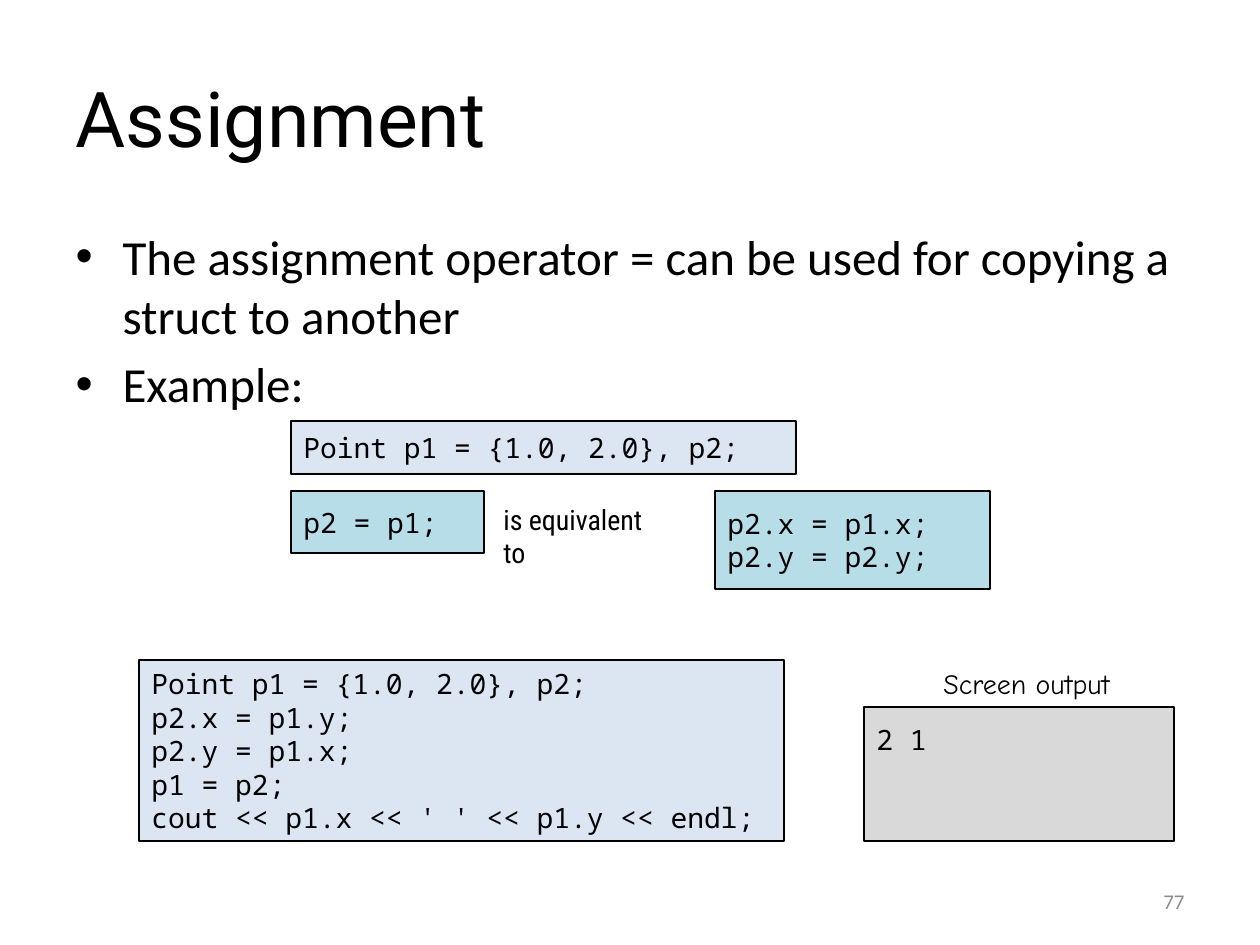
from lxml.etree import SubElement
from pptx import Presentation
from pptx.dml.color import RGBColor
from pptx.enum.shapes import MSO_SHAPE
from pptx.enum.text import MSO_ANCHOR, MSO_AUTO_SIZE, PP_ALIGN
from pptx.oxml.ns import qn
from pptx.util import Inches, Pt

PX_PER_INCH = 126
MONO = "Noto Sans Mono"
PALE_BLUE, AQUA, GRAY = "DCE6F2", "B7DEE8", "D9D9D9"


def px(n):
    return round(n * Inches(1) / PX_PER_INCH)


def rgb(color):
    return RGBColor.from_string(color)


def place(sp, left, top, width, height):
    sp.left, sp.top, sp.width, sp.height = map(px, (left, top, width, height))


def write(tf, text, font, size, color="000000", align=PP_ALIGN.LEFT,
          anchor=MSO_ANCHOR.MIDDLE):
    """Fill a text frame with one paragraph for each line of text."""
    tf.word_wrap = True
    tf.auto_size = MSO_AUTO_SIZE.NONE
    tf.vertical_anchor = anchor
    for i, line in enumerate(text.split("\n")):
        p = tf.paragraphs[0] if i == 0 else tf.add_paragraph()
        p.alignment = align
        r = p.add_run()
        r.text = line
        r.font.name, r.font.size = font, Pt(size)
        r.font.color.rgb = rgb(color)


class SlideBuilder:
    def __init__(self, prs):
        self.slide = prs.slides.add_slide(prs.slide_layouts[1])

    def title(self, text, *box):
        sp = self.slide.shapes.title
        place(sp, *box)
        write(sp.text_frame, text, "Roboto", 44)

    def bullets(self, text, *box, indent=47):
        sp = self.slide.placeholders[1]
        place(sp, *box)
        write(sp.text_frame, text, "Calibri", 28, anchor=MSO_ANCHOR.TOP)
        for p in sp.text_frame.paragraphs:
            p.space_before = Pt(5.6)
            pPr = p._p.get_or_add_pPr()
            pPr.set("marL", str(px(indent)))
            pPr.set("indent", str(-px(indent)))
            SubElement(pPr, qn("a:buFont"), typeface="Arial")
            SubElement(pPr, qn("a:buChar"), char="•")

    def label(self, text, *box, font, size=16, **style):
        sp = self.slide.shapes.add_textbox(*map(px, box))
        write(sp.text_frame, text, font, size, **style)

    def code(self, text, *box, fill, margin_top=6, anchor=MSO_ANCHOR.MIDDLE):
        sp = self.slide.shapes.add_shape(MSO_SHAPE.RECTANGLE, *map(px, box))
        sp.shadow.inherit = False
        sp.fill.solid()
        sp.fill.fore_color.rgb = rgb(fill)
        sp.line.color.rgb = rgb("000000")
        sp.line.width = Pt(0.75)
        sp.text_frame.margin_top = px(margin_top)
        write(sp.text_frame, text, MONO, 16, anchor=anchor)


def main():
    prs = Presentation()
    prs.slide_width, prs.slide_height = Inches(10), Inches(7.5)
    s = SlideBuilder(prs)

    s.title("Assignment", 63, 38, 1134, 157)
    s.bullets("The assignment operator = can be used for copying a struct to another\n"
              "Example:", 63, 220, 1134, 624)
    s.label("77", 903, 876, 294, 50, font="Calibri", size=12, color="8C8C8C",
            align=PP_ALIGN.RIGHT)

    s.code("Point p1 = {1.0, 2.0}, p2;", 291, 421, 505, 53, fill=PALE_BLUE)
    s.code("p2.x = p1.x;\np2.y = p2.y;", 715, 491, 275, 98, fill=AQUA)
    s.code("p2 = p1;", 291, 491, 193, 62, fill=AQUA)
    s.label("is equivalent to", 491, 496, 176, 47, font="Roboto Condensed",
            anchor=MSO_ANCHOR.TOP)

    s.code("Point p1 = {1.0, 2.0}, p2;\n"
           "p2.x = p1.y;\n"
           "p2.y = p1.x;\n"
           "p1 = p2;\n"
           "cout << p1.x << ' ' << p1.y << endl;", 139, 660, 645, 181, fill=PALE_BLUE)
    s.label("Screen output", 931, 660, 243, 47, font="Comic Neue",
            anchor=MSO_ANCHOR.TOP)
    s.code("2 1", 864, 707, 310, 134, fill=GRAY, margin_top=16,
           anchor=MSO_ANCHOR.TOP)

    prs.save("out.pptx")


if __name__ == "__main__":
    main()
